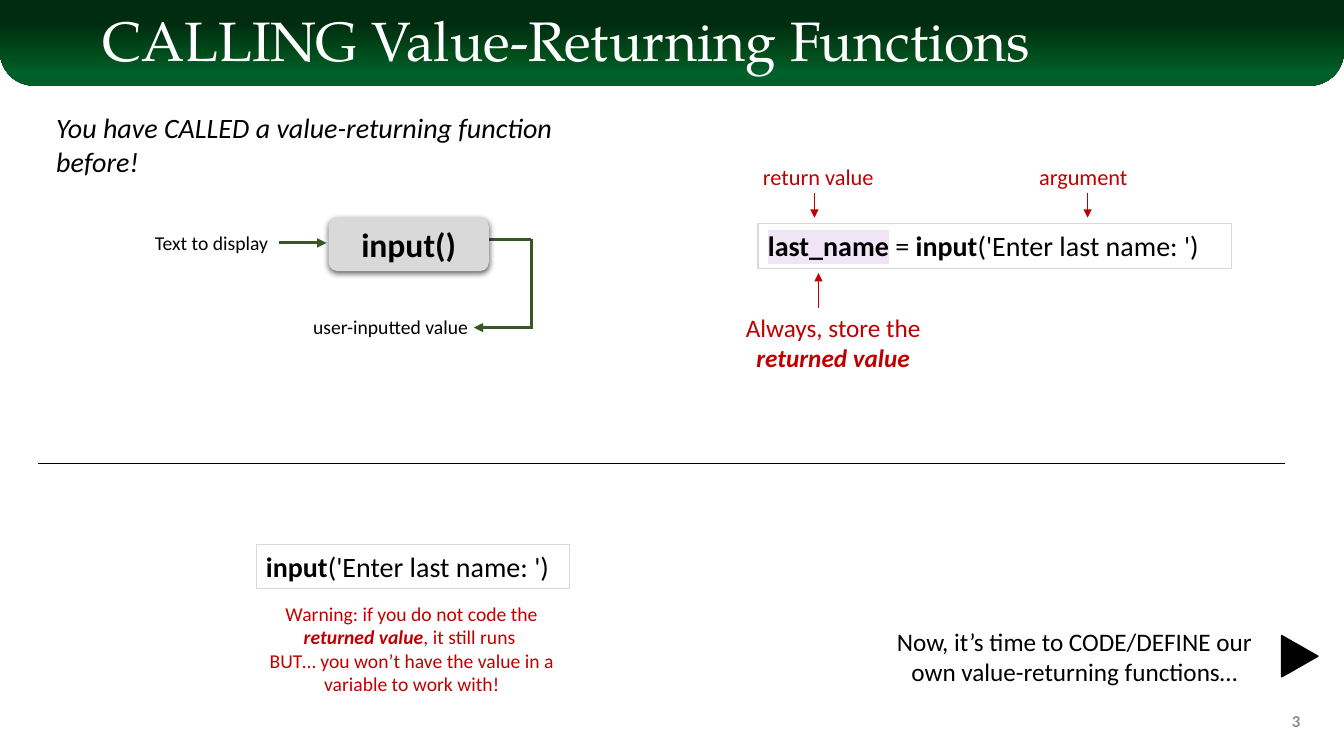
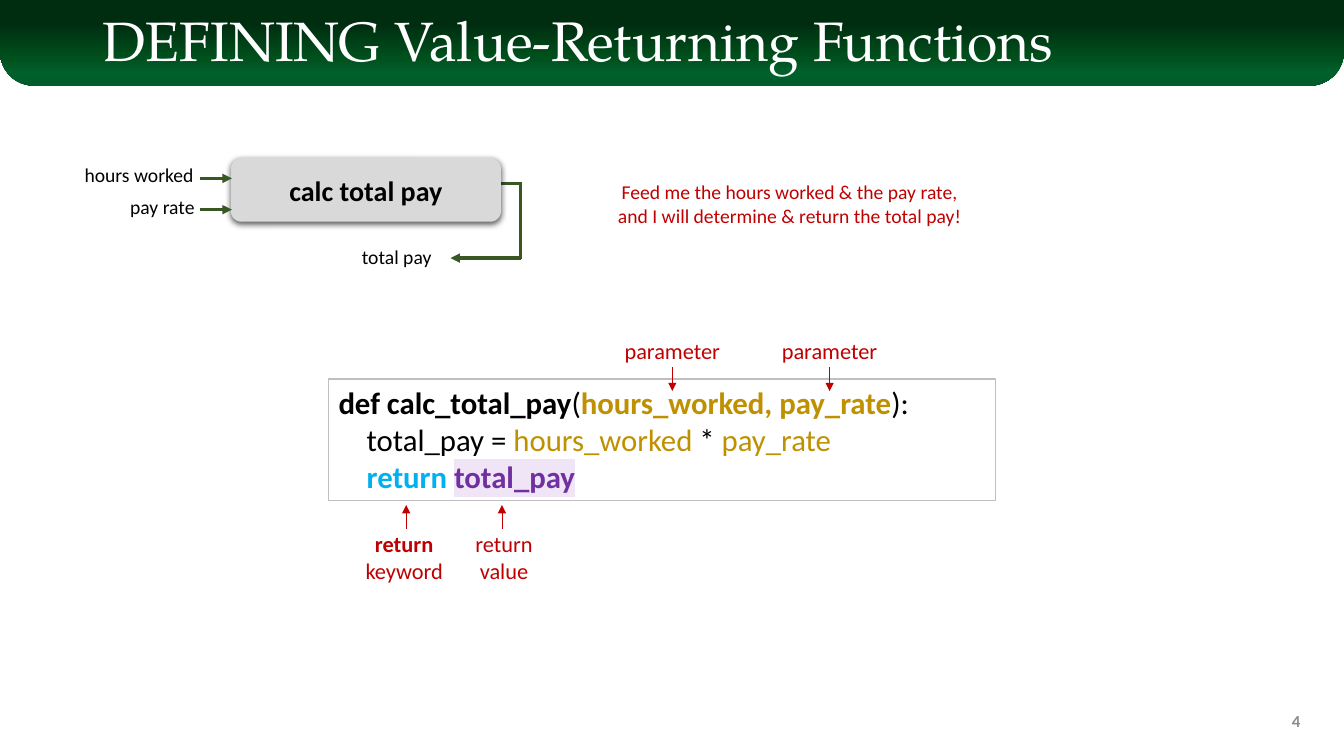
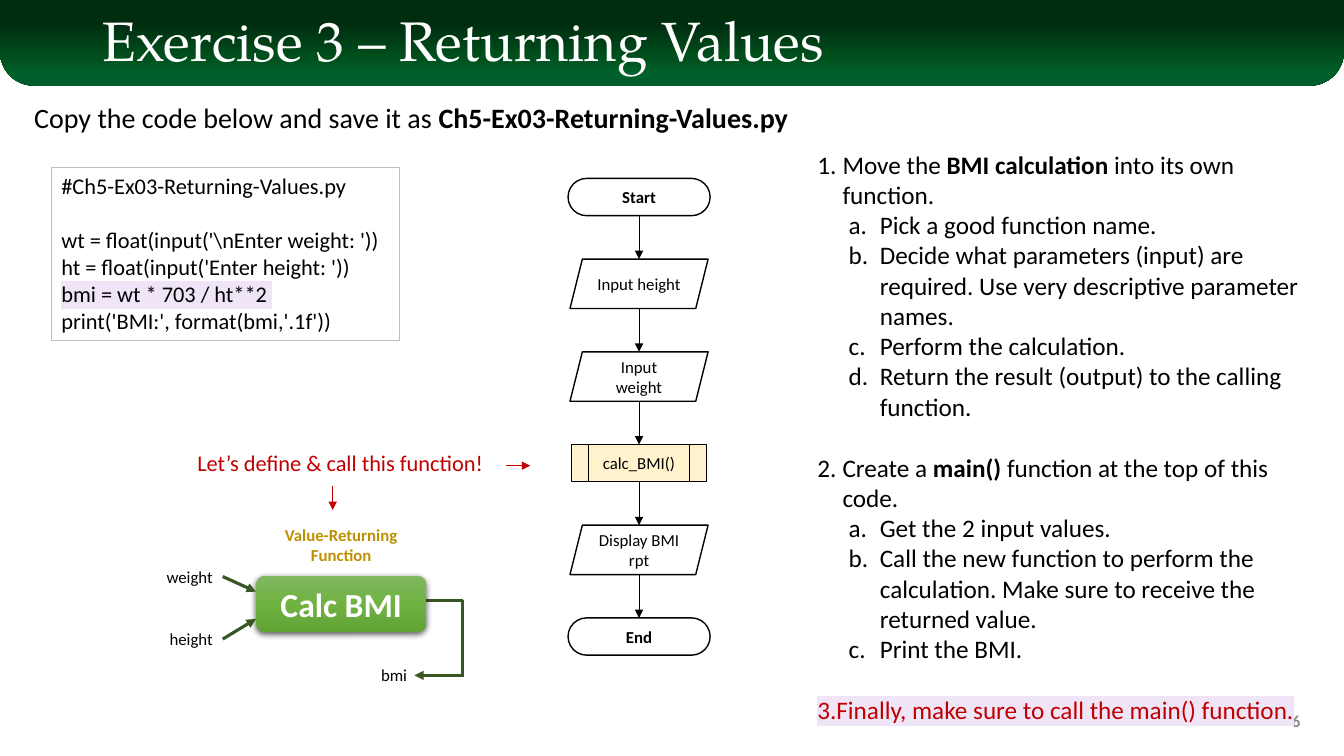
from dataclasses import dataclass, replace

from lxml.etree import SubElement
from pptx import Presentation
from pptx.dml.color import RGBColor
from pptx.enum.shapes import MSO_CONNECTOR, MSO_SHAPE
from pptx.enum.text import MSO_ANCHOR, MSO_AUTO_SIZE, PP_ALIGN
from pptx.oxml import parse_xml
from pptx.oxml.ns import nsdecls, qn
from pptx.util import Inches, Pt

CELL = Inches(0.1)  # one grid column or row
COLUMNS, ROWS = 133.33, 75

BLACK = RGBColor(0x00, 0x00, 0x00)
WHITE = RGBColor(0xFF, 0xFF, 0xFF)
RED = RGBColor(0xC0, 0x00, 0x00)
GOLD = RGBColor(0xBF, 0x90, 0x00)
BLUE = RGBColor(0x00, 0xB0, 0xF0)
PURPLE = RGBColor(0x70, 0x30, 0xA0)
LILAC = RGBColor(0xEF, 0xE5, 0xF7)
CREAM = RGBColor(0xFF, 0xF2, 0xCC)
DARK_GREEN = RGBColor(0x38, 0x57, 0x23)
LIGHT_GRAY = RGBColor(0xD9, 0xD9, 0xD9)
MID_GRAY = RGBColor(0xBF, 0xBF, 0xBF)
NUMBER_GRAY = RGBColor(0x8C, 0x8C, 0x8C)
BAND_STOPS = [(0, RGBColor(0x00, 0x2D, 0x10)), (28, RGBColor(0x00, 0x2D, 0x10)),
              (68, RGBColor(0x00, 0x50, 0x1D)), (85, RGBColor(0x00, 0x60, 0x2B)),
              (100, RGBColor(0x00, 0x5C, 0x2B))]
BUTTON_STOPS = [(0, RGBColor(0x81, 0xB8, 0x61)), (50, RGBColor(0x6F, 0xB2, 0x42)),
                (100, RGBColor(0x62, 0xA3, 0x36))]


@dataclass(frozen=True)
class Look:
    """Text style that a whole element shares."""
    size: float = 14
    color: RGBColor = BLACK
    bold: bool = False
    italic: bool = False
    align: PP_ALIGN = PP_ALIGN.LEFT
    font: str = "Calibri"


@dataclass(frozen=True)
class Run:
    """A stretch of text that departs from its paragraph's style."""
    text: str
    bold: bool = None
    italic: bool = None
    color: RGBColor = None
    highlight: RGBColor = None


@dataclass(frozen=True)
class Line:
    """A paragraph with its spacing, indents (inches) and numbering."""
    runs: tuple
    before: float = 0
    margin: float = 0
    indent: float = 0
    level: int = 0
    numbering: str = None
    start: int = None


def item(*runs, **options):
    """Return a numbered paragraph of the first level."""
    settings = dict(margin=0.25, indent=-0.25, numbering="arabicPeriod")
    return Line(runs, **{**settings, **options})


def subitem(text):
    """Return a lettered paragraph of the second level."""
    return Line((text,), margin=0.62, indent=-0.31, level=1, numbering="alphaLcPeriod")


def format_paragraph(paragraph, line, look):
    """Set the numbering, spacing and font of a paragraph."""
    properties = paragraph._p.get_or_add_pPr()
    if line.margin or line.indent:
        properties.set("marL", str(Inches(line.margin)))
        properties.set("indent", str(Inches(line.indent)))
    if line.numbering:
        number = SubElement(properties, qn("a:buAutoNum"), type=line.numbering)
        if line.start:
            number.set("startAt", str(line.start))
    if line.before:
        paragraph.space_before = Pt(line.before)
    paragraph.level = line.level
    paragraph.alignment = look.align
    font = paragraph.font
    font.name, font.size = look.font, Pt(look.size)
    font.bold, font.italic = look.bold, look.italic
    font.color.rgb = look.color


def add_run(paragraph, part):
    """Add a plain string or a Run to a paragraph."""
    part = Run(part) if isinstance(part, str) else part
    run = paragraph.add_run()
    run.text = part.text
    if part.bold is not None:
        run.font.bold = part.bold
    if part.italic is not None:
        run.font.italic = part.italic
    if part.color is not None:
        run.font.color.rgb = part.color
    if part.highlight is not None:
        highlight = SubElement(run._r.get_or_add_rPr(), qn("a:highlight"))
        SubElement(highlight, qn("a:srgbClr"), val=str(part.highlight))


def write(frame, lines, look):
    """Fill a text frame; a line is a string, a tuple of runs or a Line."""
    lines = [lines] if isinstance(lines, str) else lines
    for index, line in enumerate(lines):
        if isinstance(line, str):
            line = (line,)
        if not isinstance(line, Line):
            line = Line(line)
        paragraph = frame.add_paragraph() if index else frame.paragraphs[0]
        format_paragraph(paragraph, line, look)
        for part in line.runs:
            add_run(paragraph, part)


def fill_gradient(shape, stops):
    """Give a shape a gradient that runs from top to bottom."""
    marks = "".join(f'<a:gs pos="{place * 1000}"><a:srgbClr val="{color}"/></a:gs>'
                    for place, color in stops)
    gradient = parse_xml(f'<a:gradFill {nsdecls("a")} rotWithShape="1"><a:gsLst>{marks}</a:gsLst>'
                         '<a:lin ang="5400000" scaled="0"/></a:gradFill>')
    shape.element.spPr.find(qn("a:prstGeom")).addnext(gradient)


def cast_shadow(shape):
    """Add a soft shadow below a shape."""
    effects = shape.element.spPr.find(qn("a:effectLst"))
    effects.append(parse_xml(
        f'<a:outerShdw {nsdecls("a")} blurRad="{Pt(4.5)}" dist="{Pt(1.5)}" dir="5400000" '
        'algn="ctr" rotWithShape="0"><a:srgbClr val="000000"><a:alpha val="63000"/>'
        '</a:srgbClr></a:outerShdw>'))


CODE = Look(20)
NOTE = Look(16, RED)
CENTERED = Look(align=PP_ALIGN.CENTER)
RIGHT = Look(align=PP_ALIGN.RIGHT)
TITLE = Look(39.6, WHITE, font="TeX Gyre Pagella")
PAGE_NUMBER = Look(12, NUMBER_GRAY, bold=True, align=PP_ALIGN.RIGHT)


class Deck:
    """Holds the presentation, its shared style and the current slide."""

    def __init__(self):
        """Start a presentation of the grid's size."""
        self.presentation = Presentation()
        self.presentation.slide_width = int(COLUMNS * CELL)
        self.presentation.slide_height = ROWS * CELL
        self.layout = self.presentation.slide_layouts[5]
        self.slide = None

    @staticmethod
    def cells(*values):
        """Turn columns and rows into lengths."""
        return [int(value * CELL) for value in values]

    def new_slide(self, title, number):
        """Begin a slide with its title and page number."""
        first = self.slide is None
        self.slide = self.presentation.slides.add_slide(self.layout)
        if first:
            self.add_band()
        heading = self.slide.shapes.title
        heading.left, heading.top, heading.width, heading.height = self.cells(9.2, 1.3, 115, 6.1)
        frame = heading.text_frame
        frame.auto_size = MSO_AUTO_SIZE.NONE
        frame.vertical_anchor = MSO_ANCHOR.MIDDLE
        write(frame, title, TITLE)
        frame.paragraphs[0].line_spacing = 0.9
        page = self.text((100, 69.5, 30, 4), str(number), PAGE_NUMBER)
        page.text_frame.vertical_anchor = MSO_ANCHOR.MIDDLE

    def add_band(self):
        """Put the title band on the layout, behind everything else."""
        band = self.shape(MSO_SHAPE.ROUND_2_SAME_RECTANGLE, (0, 0, COLUMNS, 8.5))
        band.adjustments[0], band.adjustments[1] = 0, 0.4
        band.element.spPr.remove(band.element.spPr.find(qn("a:noFill")))
        fill_gradient(band, BAND_STOPS)
        self.layout.shapes.element.insert(2, band.element)

    def text(self, place, lines, look, wrap=True):
        """Add a text box."""
        box = self.slide.shapes.add_textbox(*self.cells(*place))
        box.text_frame.word_wrap = wrap
        write(box.text_frame, lines, look)
        return box

    def label(self, place, lines, look):
        """Add a text box that does not wrap."""
        return self.text(place, lines, look, wrap=False)

    def shape(self, kind, place, fill=None, line=None, weight=1.0):
        """Add a preset shape, by default without fill and line."""
        shape = self.slide.shapes.add_shape(kind, *self.cells(*place))
        shape.shadow.inherit = False
        if fill is None:
            shape.fill.background()
        else:
            shape.fill.solid()
            shape.fill.fore_color.rgb = fill
        if line is None:
            shape.line.fill.background()
        else:
            shape.line.color.rgb = line
            shape.line.width = Pt(weight)
        return shape

    def code(self, place, lines, look=CODE, border=MID_GRAY, wrap=True):
        """Add a framed block of code."""
        box = self.shape(MSO_SHAPE.RECTANGLE, place, line=border, weight=0.75)
        box.text_frame.word_wrap = wrap
        box.text_frame.vertical_anchor = MSO_ANCHOR.TOP
        write(box.text_frame, lines, look)

    def function_block(self, place, name, look, stops=None):
        """Add the raised block that stands for a function."""
        block = self.shape(MSO_SHAPE.ROUNDED_RECTANGLE, place, LIGHT_GRAY)
        if stops:
            block.element.spPr.remove(block.element.spPr.find(qn("a:solidFill")))
            fill_gradient(block, stops)
        cast_shadow(block)
        write(block.text_frame, name, replace(look, bold=True, align=PP_ALIGN.CENTER))

    def line(self, start, end, color=BLACK, weight=0.5, arrow=False):
        """Draw a straight line, with an arrowhead at its end if asked."""
        line = self.slide.shapes.add_connector(MSO_CONNECTOR.STRAIGHT, *self.cells(*start, *end))
        line.line.color.rgb = color
        line.line.width = Pt(weight)
        if arrow:
            SubElement(line.line._get_or_add_ln(), qn("a:tailEnd"), type="triangle")
        SubElement(line.element.spPr, qn("a:effectLst"))

    def pointer(self, start, end, weight=0.5):
        """Draw a thin red arrow from a note."""
        self.line(start, end, RED, weight, arrow=True)

    def data_arrow(self, start, end):
        """Draw a thick green arrow for data."""
        self.line(start, end, DARK_GREEN, 2.25, arrow=True)

    def return_path(self, start, corner, end):
        """Draw the line that leaves a block, turns down and comes back."""
        (left, top), (right, bottom) = start, corner
        self.line(start, (right, top), DARK_GREEN, 2.25)
        self.data_arrow((right + 0.1, bottom), (end, bottom))
        self.line((right, top - 0.1), (right, bottom + 0.1), DARK_GREEN, 2.25)

    def flowchart(self, center, top, gap, steps):
        """Stack steps of (kind, text, width, height, fill), joined by arrows."""
        for index, (kind, text, width, height, fill) in enumerate(steps):
            step = self.shape(kind, (center - width / 2, top, width, height), fill, BLACK)
            terminal = kind == MSO_SHAPE.ROUNDED_RECTANGLE
            if terminal:
                step.adjustments[0] = 0.5
            write(step.text_frame, text, replace(CENTERED, size=12, bold=terminal))
            top += height + gap
            if index < len(steps) - 1:
                self.line((center, top - gap), (center, top), arrow=True)


def build_calling(deck):
    """Build the slide on calling functions."""
    deck.new_slide("CALLING Value-Returning Functions", 3)
    prompt = (Run("input", bold=True), "('Enter last name: ')")
    deck.label((4.6, 10.5, 60, 4.4), "You have CALLED a value-returning function before!",
               Look(20, italic=True))

    deck.return_path((48.4, 23.8), (52.7, 32.5), 47)
    deck.label((29.9, 30.8, 17.7, 3.4), "user-inputted value", CENTERED)
    deck.data_arrow((27.7, 24.1), (32.4, 24.1))
    deck.label((14.2, 22.4, 13.4, 3.4), "Text to display", RIGHT)
    deck.function_block((32.6, 21.6, 15.9, 5.3), "input()", Look(24))

    deck.code((75.2, 22.2, 47, 4.4),
              [(Run("last_name", bold=True, highlight=LILAC), " = ") + prompt], border=LIGHT_GRAY)
    for left, width, name, tip in ((74.7, 13.1, "return value", 80.8),
                                   (102.1, 10.9, "argument", 107.9)):
        deck.label((left, 15.7, width, 3.7), name, NOTE)
        deck.pointer((tip, 19.1), (tip, 21.6))
    deck.text((69.7, 30.5, 25.9, 7.1),
              [("Always, store the ", Run("returned value", bold=True, italic=True))],
              Look(18, RED, align=PP_ALIGN.CENTER))
    deck.pointer((81.2, 30.6), (81.2, 27.1), weight=1)

    deck.line((3.8, 46), (127.5, 46))
    deck.code((25.4, 54, 31.1, 4.4), [prompt], border=LIGHT_GRAY)
    deck.text((22.8, 59.2, 36.1, 10.4),
              ["Warning: if you do not code the",
               (Run("returned value", bold=True, italic=True), ", it still runs "),
               "BUT… you won’t have the value in a variable to work with!"],
              replace(CENTERED, color=RED))
    deck.text((86.1, 61.6, 41, 7.1),
              "Now, it’s time to CODE/DEFINE our own value-returning functions…",
              replace(CENTERED, size=18))
    next_mark = deck.shape(MSO_SHAPE.ISOSCELES_TRIANGLE, (126.9, 63.3, 4.1, 3.6), BLACK, BLACK)
    next_mark.rotation = 90


def build_defining(deck):
    """Build the slide on defining functions."""
    deck.new_slide("DEFINING Value-Returning Functions", 4)
    deck.return_path((46.4, 18.2), (51.6, 25.6), 44.7)
    deck.function_block((22.9, 15.7, 26.8, 6.3), "calc total pay", Look(20))
    for left, width, top, name in ((7.3, 12.9, 15.7, "hours worked"),
                                   (11.8, 8.5, 18.8, "pay rate")):
        deck.label((left, top, width, 3.4), name, RIGHT)
        deck.data_arrow((19.8, top + 2), (23, top + 2))
    deck.label((34.8, 23.8, 9, 3.4), "total pay", RIGHT)
    deck.text((59.7, 17.4, 37.3, 5.7),
              "Feed me the hours worked & the pay rate, and I will determine & return the total pay!",
              replace(CENTERED, color=RED))

    deck.code((32.6, 37.6, 66.2, 12.1), [
        (Run("def calc_total_pay", bold=True), "(",
         Run("hours_worked, pay_rate", bold=True, color=GOLD), "):"),
        Line(("total_pay = ", Run("hours_worked ", color=GOLD), "* ",
              Run("pay_rate", color=GOLD)), margin=0.28),
        Line((Run("return ", bold=True, color=BLUE),
              Run("total_pay", bold=True, color=PURPLE, highlight=LILAC)), margin=0.28),
    ], Look(22))
    note = replace(NOTE, align=PP_ALIGN.CENTER)
    for tip in (66.7, 82.3):
        deck.label((tip - 5.8, 33, 11.6, 3.7), "parameter", note)
        deck.pointer((tip, 36.4), (tip, 38.8))
    for left, width, tip, words in (
            (35.2, 9.8, 40.3, [(Run("return", bold=True),), "keyword"]),
            (46.1, 7.8, 49.8, ["return", "value"])):
        deck.label((left, 52.1, width, 6.4), words, note)
        deck.pointer((tip, 52.5), (tip, 50.1))


def build_exercise(deck):
    """Build the exercise slide."""
    deck.new_slide("Exercise 3 – Returning Values", 6)
    deck.text((2.4, 9.5, 86.2, 4.4),
              [("Copy the code below and save it as ",
                Run("Ch5-Ex03-Returning-Values.py", bold=True))], CODE)
    deck.code((5.1, 16.6, 34.5, 17.2), [
        "#Ch5-Ex03-Returning-Values.py ",
        Line((r"wt = float(input('\nEnter weight: ')) ",), before=19.5),
        "ht = float(input('Enter height: '))",
        (Run("bmi = wt * 703 / ht**2 ", highlight=LILAC),),
        "print('BMI:', format(bmi,'.1f'))",
    ], Look(16), wrap=False)

    small = replace(CENTERED, size=12)
    deck.return_path((42.3, 59.6), (45.9, 67), 41.1)
    deck.label((36.8, 65.5, 4.6, 3), "bmi", small)
    deck.label((27.2, 51.6, 13.3, 5), ["Value-Returning", "Function"],
               replace(small, color=GOLD, bold=True))
    deck.function_block((25.4, 57.1, 16.9, 5.6), "Calc BMI", Look(24, WHITE), BUTTON_STOPS)
    for left, width, top, name, start, end in ((15.4, 6.7, 55.7, "weight", 57.2, 58.7),
                                               (15.8, 6.3, 61.9, "height", 63.4, 61.4)):
        deck.label((left, top, width, 3), name, replace(RIGHT, size=12))
        deck.data_arrow((22.1, start), (25.4, end))

    terminal, data = MSO_SHAPE.ROUNDED_RECTANGLE, MSO_SHAPE.PARALLELOGRAM
    deck.flowchart(63.4, 17.7, 4.3, [
        (terminal, "Start", 14.1, 3.7, None),
        (data, "Input height", 13.7, 4.9, None),
        (data, "Input weight", 13.7, 4.9, None),
        (MSO_SHAPE.FLOWCHART_PREDEFINED_PROCESS, "calc_BMI()", 13.4, 3.7, CREAM),
        (data, "Display BMI rpt", 13.7, 4.9, None),
        (terminal, "End", 14.1, 3.7, None),
    ])
    deck.label((18.6, 44.1, 30.7, 3.7), "Let’s define & call this function!", NOTE)
    deck.pointer((33, 48.2), (33, 50.6))
    deck.pointer((50.2, 46.2), (52.6, 46.2))

    deck.text((80.1, 14.3, 51.2, 58.6), [
        item("Move the ", Run("BMI calculation", bold=True), " into its own function. "),
        subitem("Pick a good function name."),
        subitem("Decide what parameters (input) are required. "
                "Use very descriptive parameter names."),
        subitem("Perform the calculation."),
        subitem("Return the result (output) to the calling function."),
        item("Create a ", Run("main() ", bold=True), "function at the top of this code.",
             before=22, start=2),
        subitem("Get the 2 input values."),
        subitem("Call the new function to perform the calculation. "
                "Make sure to receive the returned value."),
        subitem("Print the BMI."),
        item(Run("Finally, make sure to call the main() function.", color=RED, highlight=LILAC),
             before=22, start=2, margin=0.12, indent=-0.31),
    ], Look(18))


def main():
    """Build the slides and save them."""
    deck = Deck()
    build_calling(deck)
    build_defining(deck)
    build_exercise(deck)
    deck.presentation.save("out.pptx")


main()
